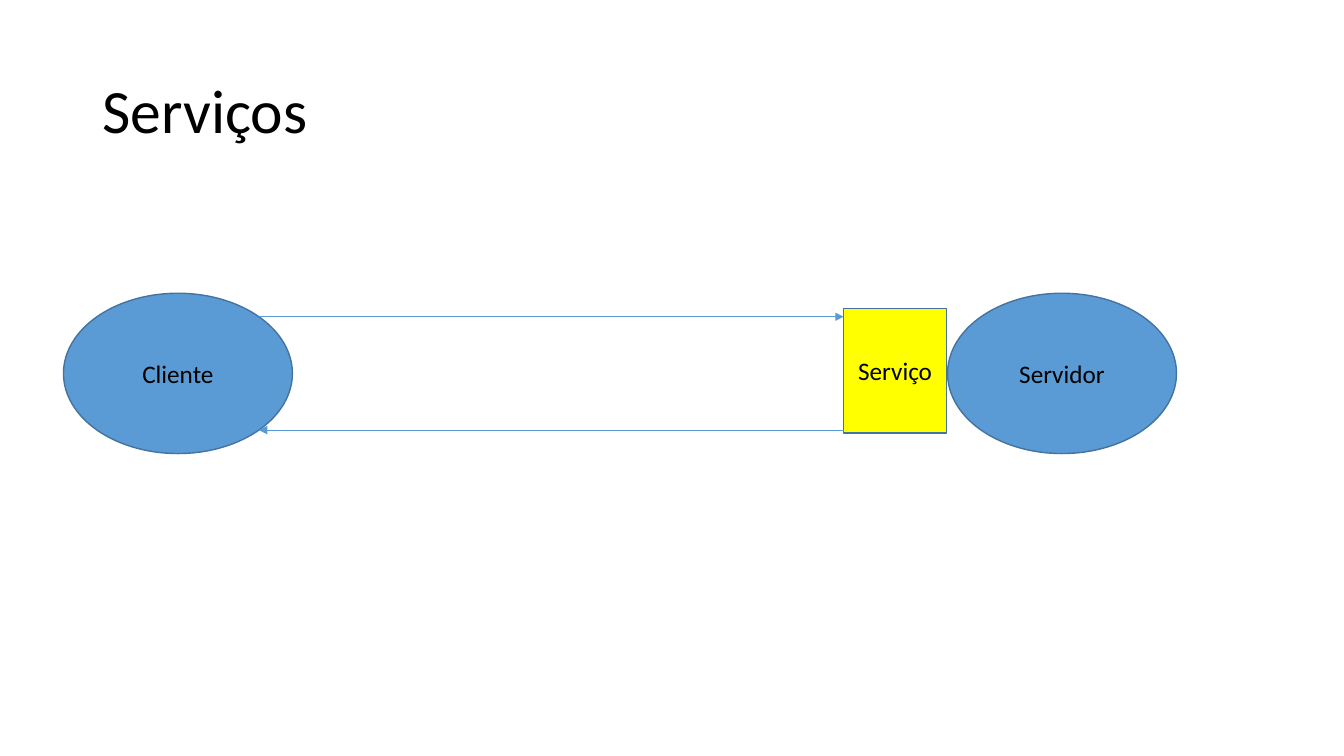
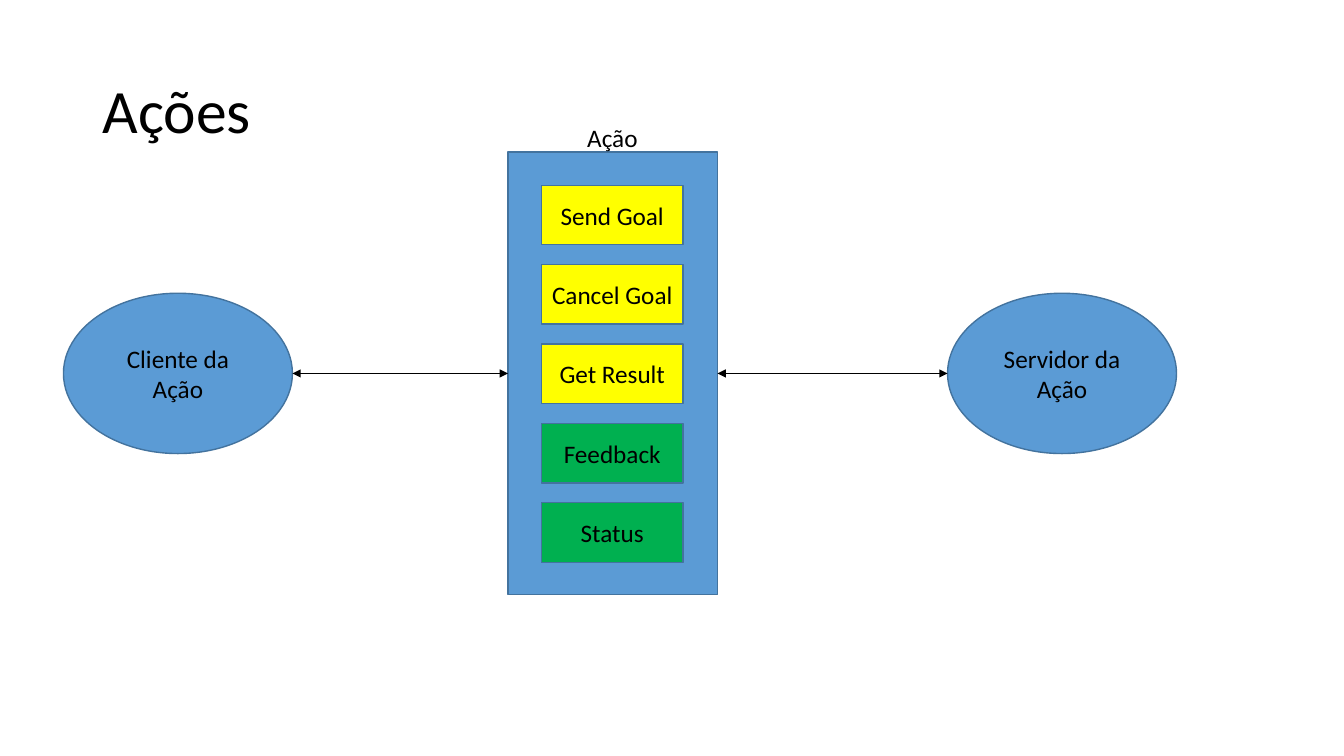
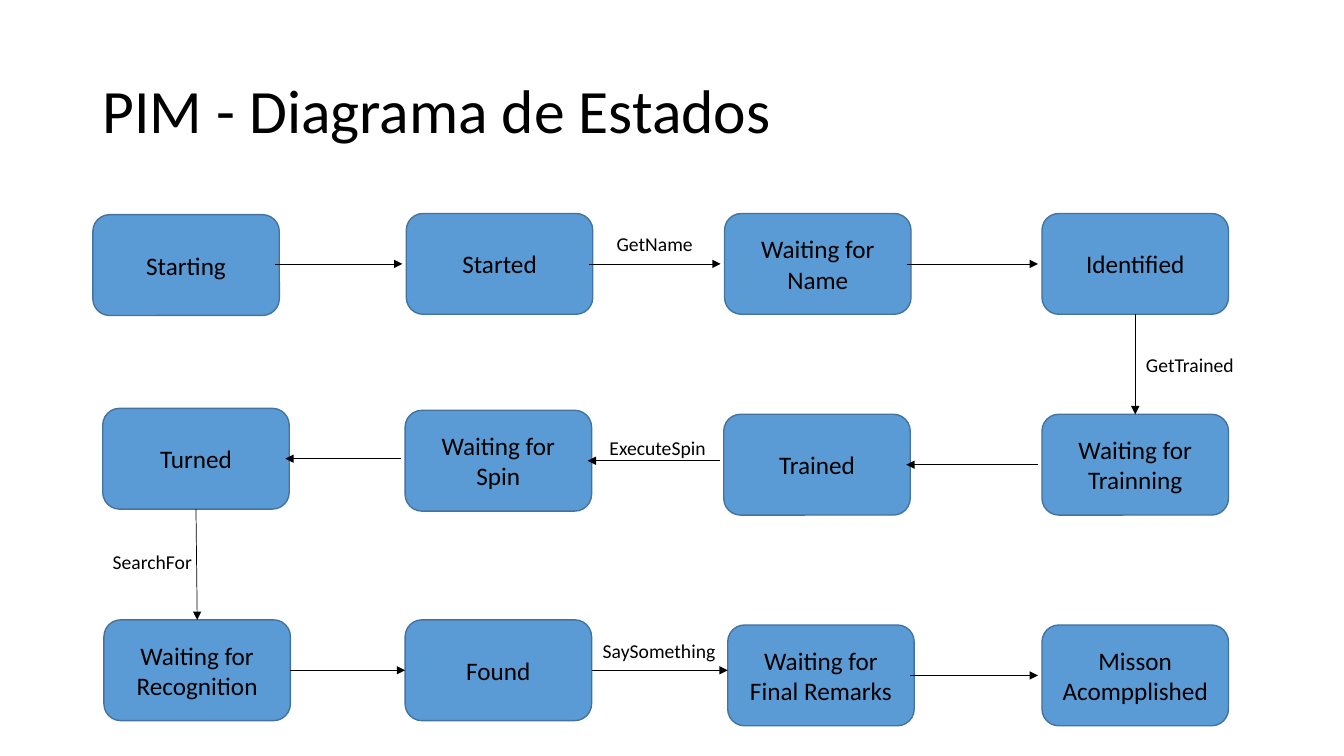
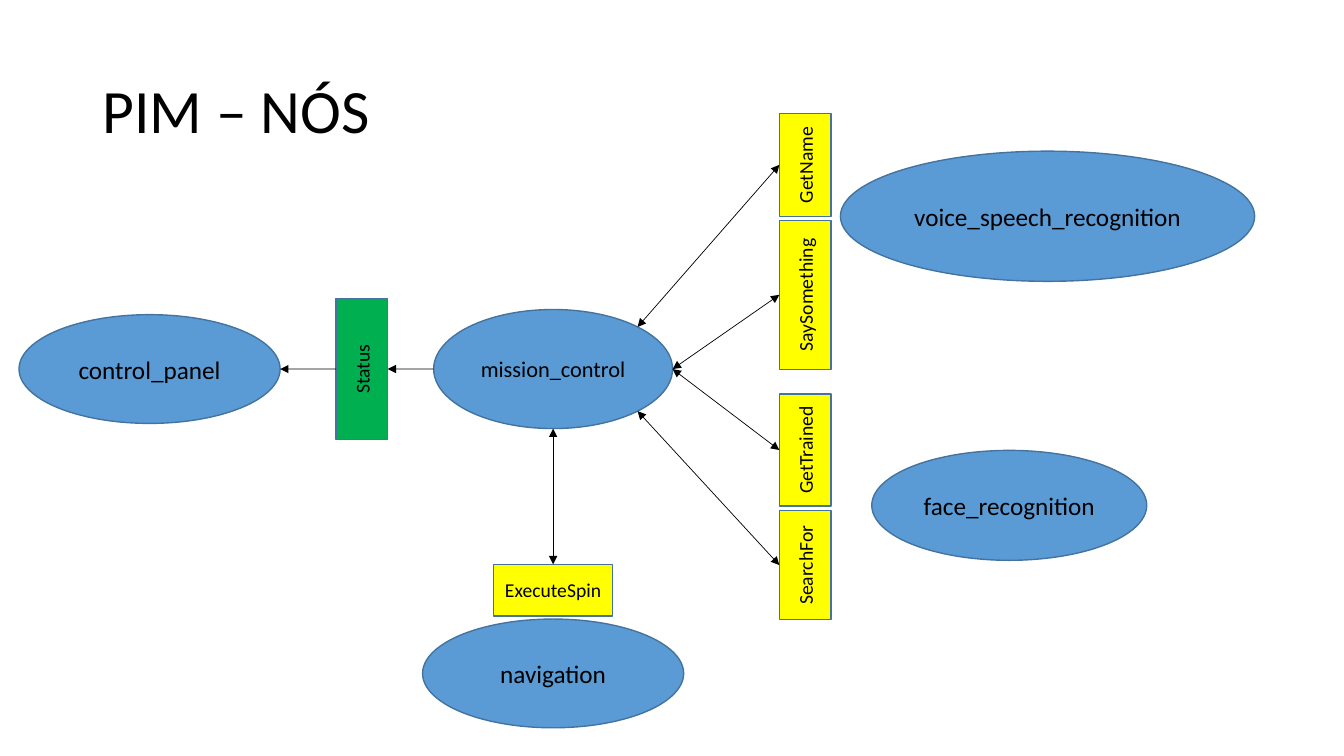
"""Build four diagram slides on services, actions, states and nodes."""
from dataclasses import dataclass
from enum import Enum

from lxml.etree import SubElement
from pptx import Presentation
from pptx.dml.color import RGBColor
from pptx.enum.shapes import MSO_CONNECTOR, MSO_SHAPE
from pptx.enum.text import MSO_ANCHOR, MSO_AUTO_SIZE, PP_ALIGN
from pptx.oxml.ns import qn
from pptx.shapes.autoshape import Shape
from pptx.slide import Slide
from pptx.text.text import TextFrame
from pptx.util import Cm, Pt

OVAL, RECT, ROUND = MSO_SHAPE.OVAL, MSO_SHAPE.RECTANGLE, MSO_SHAPE.ROUNDED_RECTANGLE


@dataclass(frozen=True)
class Theme:
    """Colours, font and type sizes of the deck."""
    font: str = "Calibri"
    black: str = "000000"
    blue: str = "5B9BD5"
    edge: str = "43739E"
    yellow: str = "FFFF00"
    green: str = "00B050"
    head: int = 44
    text: int = 18
    mid: int = 16
    small: int = 14
    line: float = 0.5
    frame: float = 1


THEME = Theme()


class Side(Enum):
    """Places on an outline; the first four follow the site order."""
    N = (0, -1)
    W = (-1, 0)
    S = (0, 1)
    E = (1, 0)
    NE = (1, -1)
    SE = (1, 1)


class Tip(Enum):
    """Arrowheads at the start and the end of a link."""
    END = ("tailEnd",)
    START = ("headEnd",)
    BOTH = ("headEnd", "tailEnd")


@dataclass(frozen=True)
class Node:
    """A shape with a label, placed in cm as it is seen."""
    text: str
    x: float
    y: float
    w: float
    h: float
    kind: MSO_SHAPE = OVAL
    fill: str = THEME.blue
    size: int = THEME.text
    turn: bool = False

    def spot(self, side: Side) -> tuple[float, float]:
        """Return the point on the outline at a side."""
        dx, dy = side.value
        reach = 0.5 ** 0.5 if dx and dy else 1
        return (self.x + self.w / 2 * (1 + dx * reach),
                self.y + self.h / 2 * (1 + dy * reach))

    def site(self, side: Side) -> int | None:
        """Return the join index at a side, if there is one."""
        if self.kind == OVAL:
            return None
        return (list(Side).index(side) - self.turn) % 4


@dataclass(frozen=True)
class Link:
    """An arrow between two nodes; level names the end that sets its height."""
    start: str
    out: Side
    end: str
    into: Side
    tip: Tip = Tip.END
    shift: float = 0
    level: str = ""
    ink: str = THEME.black


@dataclass(frozen=True)
class Tag:
    """A free label, placed in cm."""
    text: str
    x: float
    y: float
    w: float
    h: float = 0.86
    size: int = THEME.small


def write(frame: TextFrame, text: str, size: int, align: PP_ALIGN) -> None:
    """Put styled text in a frame."""
    frame.text = text
    for para in frame.paragraphs:
        para.alignment = align
        for run in para.runs:
            run.font.name, run.font.size = THEME.font, Pt(size)
            run.font.color.rgb = RGBColor.from_string(THEME.black)


def add_node(slide: Slide, node: Node) -> Shape:
    """Draw a node and return its shape."""
    w, h = (node.h, node.w) if node.turn else (node.w, node.h)
    x, y = node.x + (node.w - w) / 2, node.y + (node.h - h) / 2
    shape = slide.shapes.add_shape(node.kind, Cm(x), Cm(y), Cm(w), Cm(h))
    shape.rotation = 270 if node.turn else 0
    shape.shadow.inherit = False
    shape.fill.solid()
    shape.fill.fore_color.rgb = RGBColor.from_string(node.fill)
    shape.line.color.rgb = RGBColor.from_string(THEME.edge)
    shape.line.width = Pt(THEME.frame)
    if node.text:
        write(shape.text_frame, node.text, node.size, PP_ALIGN.CENTER)
    return shape


def add_link(slide: Slide, link: Link, nodes: dict[str, Node],
             shapes: dict[str, Shape]) -> None:
    """Draw an arrow and join it where it meets the middle of a side."""
    first, last = nodes[link.start], nodes[link.end]
    (x1, y1), (x2, y2) = first.spot(link.out), last.spot(link.into)
    x1, x2 = x1 + link.shift, x2 + link.shift
    if link.level == "start":
        y2 = y1
    elif link.level == "end":
        y1 = y2
    ends = Cm(x1), Cm(y1), Cm(x2), Cm(y2)
    line = slide.shapes.add_connector(MSO_CONNECTOR.STRAIGHT, *ends)
    site = first.site(link.out)
    if site is not None and not link.shift and link.level != "end":
        line.begin_connect(shapes[link.start], site)
    site = last.site(link.into)
    if site is not None and not link.shift and link.level != "start":
        line.end_connect(shapes[link.end], site)
    line.begin_x, line.begin_y, line.end_x, line.end_y = ends
    line.line.color.rgb = RGBColor.from_string(link.ink)
    line.line.width = Pt(THEME.line)
    props = line.element.spPr
    for name in link.tip.value:
        SubElement(props.get_or_add_ln(), qn(f"a:{name}"), type="triangle")
    SubElement(props, qn("a:effectLst"))


def add_tag(slide: Slide, tag: Tag) -> None:
    """Draw a free label."""
    box = slide.shapes.add_textbox(Cm(tag.x), Cm(tag.y), Cm(tag.w), Cm(tag.h))
    write(box.text_frame, tag.text, tag.size, PP_ALIGN.LEFT)
    box.text_frame.word_wrap = False
    box.text_frame.auto_size = MSO_AUTO_SIZE.SHAPE_TO_FIT_TEXT


def add_page(deck: Presentation, title: str, nodes: list[Node],
             links: list[Link], tags: list[Tag]) -> None:
    """Add a slide with a title and a diagram."""
    slide = deck.slides.add_slide(deck.slide_layouts[5])
    head = slide.shapes.title
    head.left, head.top, head.width, head.height = Cm(2.33), Cm(1.01), Cm(29.21), Cm(3.68)
    write(head.text_frame, title, THEME.head, PP_ALIGN.LEFT)
    head.text_frame.vertical_anchor = MSO_ANCHOR.MIDDLE
    head.text_frame.paragraphs[0].line_spacing = 0.9
    shapes = {node.text: add_node(slide, node) for node in nodes}
    for link in links:
        add_link(slide, link, {node.text: node for node in nodes}, shapes)
    for tag in tags:
        add_tag(slide, tag)


def add_pair(left: str, right: str) -> list[Node]:
    """Return the client and server ovals."""
    return [Node(text, x, 7.39, 5.77, 4.04) for text, x in ((left, 1.6), (right, 23.88))]


def add_calls(deck: Presentation) -> None:
    """Add the slide on services."""
    nodes = add_pair("Cliente", "Servidor")
    nodes.append(Node("Serviço", 21.26, 7.77, 2.6, 3.14, RECT, THEME.yellow))
    links = [Link("Cliente", side, "Serviço", Side.W, tip, level="start", ink=THEME.blue)
             for side, tip in ((Side.NE, Tip.END), (Side.SE, Tip.START))]
    add_page(deck, "Serviços", nodes, links, [])


def add_acts(deck: Presentation) -> None:
    """Add the slide on actions."""
    left, right = "Cliente da Ação", "Servidor da Ação"
    parts = (("Send Goal", THEME.yellow), ("Cancel Goal", THEME.yellow),
             ("Get Result", THEME.yellow), ("Feedback", THEME.green),
             ("Status", THEME.green))
    nodes = add_pair(left, right) + [Node("", 12.8, 3.83, 5.28, 11.16, RECT)]
    nodes += [Node(text, 13.65, 4.67 + 2 * row, 3.56, 1.5, RECT, fill)
              for row, (text, fill) in enumerate(parts)]
    links = [Link(left, Side.E, "", Side.W, Tip.BOTH),
             Link("", Side.E, right, Side.W, Tip.BOTH)]
    add_page(deck, "Ações", nodes, links, [Tag("Ação", 14.55, 2.95, 1.8, 1.02, THEME.text)])


def add_states(deck: Presentation) -> None:
    """Add the state diagram, which runs right, left and right again."""
    states = (
        ("Starting", 2.34, 5.41), ("Started", 10.24, 5.38),
        ("Waiting for Name", 18.26, 5.38), ("Identified", 26.26, 5.38),
        ("Waiting for Trainning", 26.26, 10.44), ("Trained", 18.24, 10.44),
        ("Waiting for Spin", 10.21, 10.34), ("Turned", 2.59, 10.29),
        ("Waiting for Recognition", 2.62, 15.62), ("Found", 10.21, 15.62),
        ("Waiting for Final Remarks", 18.34, 15.75), ("Misson Acompplished", 26.26, 15.75),
    )
    nodes = [Node(text, x, y, 4.7, 2.54, ROUND) for text, x, y in states]
    names = [node.text for node in nodes]
    east, west, down = (Side.E, Side.W), (Side.W, Side.E), (Side.S, Side.N)
    ways = [east] * 3 + [down] + [west] * 3 + [down] + [east] * 3
    joined = {"Identified", "Turned", "Waiting for Recognition", "Found"}
    links = []
    for start, end, (out, into) in zip(names, names[1:], ways):
        free = start not in joined
        level = "end" if free else "start" if start == "Found" else ""
        links.append(Link(start, out, end, into, shift=-0.1 if free else 0, level=level))
    tags = [Tag("GetName", 15.29, 5.72, 2.46), Tag("GetTrained", 28.63, 8.76, 2.74),
            Tag("ExecuteSpin", 15.11, 10.87, 2.97), Tag("SearchFor", 2.59, 13.72, 2.51),
            Tag("SaySomething", 14.94, 15.98, 3.38)]
    add_page(deck, "PIM - Diagrama de Estados", nodes, links, tags)


def add_nodes(deck: Presentation) -> None:
    """Add the slide on the nodes of the system."""
    hub, spin, panel = "mission_control", "ExecuteSpin", "control_panel"
    calls = (("GetName", 2.86, 2.59, Side.NE), ("SaySomething", 5.55, 3.76, Side.E),
             ("GetTrained", 9.93, 2.82, Side.E), ("SearchFor", 12.87, 2.74, Side.SE))
    nodes = [
        Node(hub, 10.93, 7.8, 6.02, 3, size=THEME.mid),
        Node("voice_speech_recognition", 21.18, 3.81, 10.44, 3.28),
        Node("face_recognition", 21.97, 11.35, 6.93, 2.77),
        Node("navigation", 10.65, 15.6, 6.58, 2.74),
        Node(panel, 0.48, 7.93, 6.58, 2.74),
        Node("Status", 8.47, 7.52, 1.3, 3.56, RECT, THEME.green, THEME.small, True),
        Node(spin, 12.44, 14.22, 3, 1.3, RECT, THEME.yellow, THEME.small),
    ]
    nodes += [Node(text, 19.64, y, 1.3, h, RECT, THEME.yellow, THEME.small, True)
              for text, y, h, _ in calls]
    links = [Link("Status", Side.W, panel, Side.E), Link(hub, Side.W, "Status", Side.E),
             Link(hub, Side.S, spin, Side.N, Tip.BOTH)]
    links += [Link(hub, side, text, Side.W, Tip.BOTH) for text, _, _, side in calls]
    add_page(deck, "PIM – NÓS", nodes, links, [])


def main() -> None:
    """Build and save the deck."""
    deck = Presentation()
    deck.slide_width, deck.slide_height = Cm(33.87), Cm(19.05)
    for build in (add_calls, add_acts, add_states, add_nodes):
        build(deck)
    deck.save("out.pptx")


if __name__ == "__main__":
    main()
